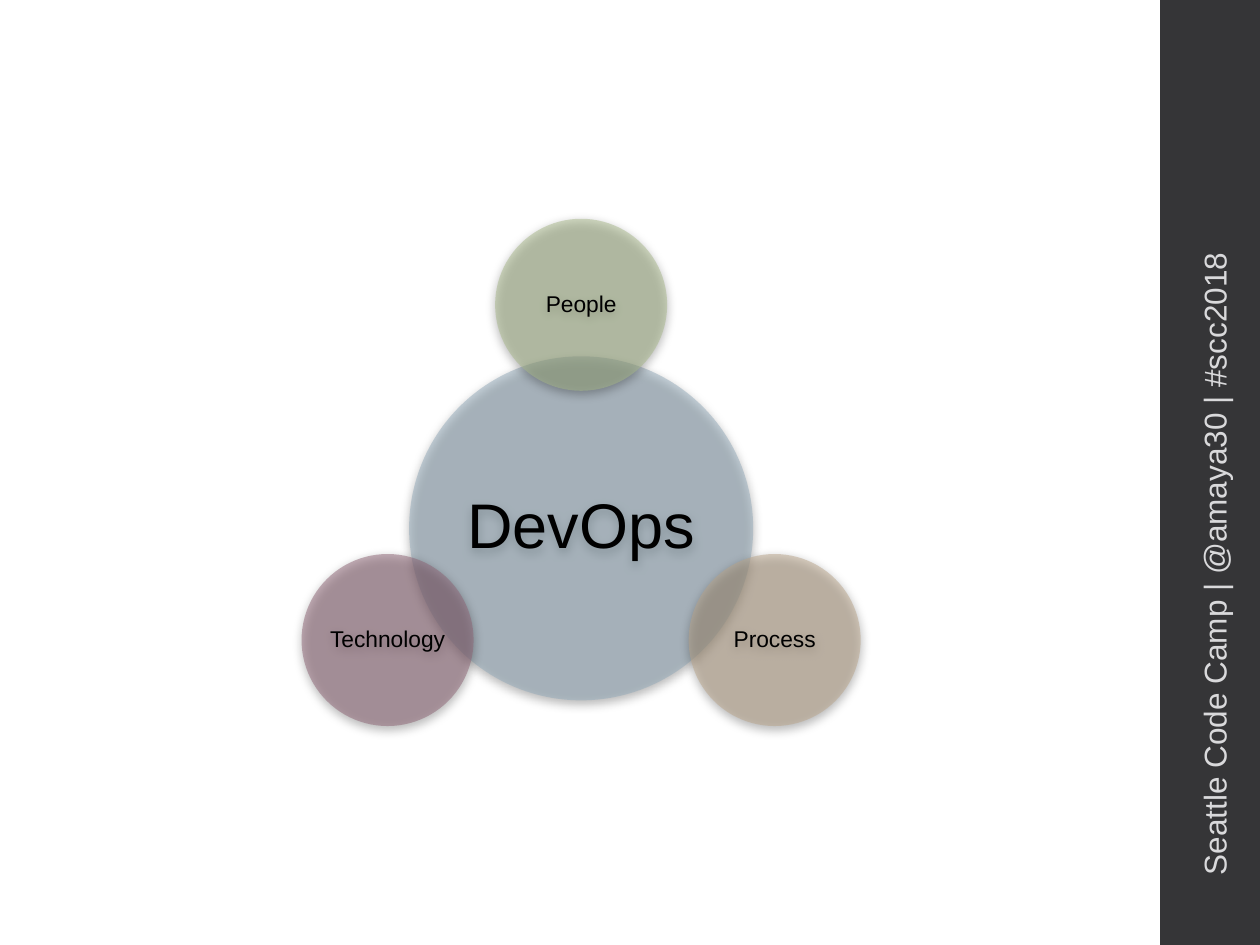
from math import cos, radians, sin

from lxml import etree
from pptx import Presentation
from pptx.dml.color import RGBColor
from pptx.enum.shapes import MSO_SHAPE
from pptx.enum.text import MSO_ANCHOR, PP_ALIGN
from pptx.oxml import parse_xml
from pptx.oxml.ns import nsdecls, qn
from pptx.util import Pt

RECT, OVAL = MSO_SHAPE.RECTANGLE, MSO_SHAPE.OVAL
MIDDLE = MSO_ANCHOR.MIDDLE
LEFT, CENTER = PP_ALIGN.LEFT, PP_ALIGN.CENTER

WHITE = RGBColor(0xFF, 0xFF, 0xFF)
BLACK = RGBColor(0x00, 0x00, 0x00)
CHARCOAL = RGBColor(0x35, 0x35, 0x37)
SILVER = RGBColor(0xD9, 0xD9, 0xDB)
BLUE = RGBColor(0x92, 0xA9, 0xB9)
GREEN = RGBColor(0xA7, 0xB7, 0x89)
TAN = RGBColor(0xB9, 0xA4, 0x89)
PLUM = RGBColor(0x8D, 0x63, 0x74)

FONT = "Arial"
HUB_X, HUB_Y = 332.1, 301.9
HUB_SIZE, SATELLITE_SIZE = 196.6, 98.3
ORBIT = 127.7
SATELLITES = [("People", GREEN), ("Process", TAN), ("Technology", PLUM)]


def add_text(s, text, size, color, align, inset):
    tf = s.text_frame
    tf.word_wrap = True
    tf.vertical_anchor = MIDDLE
    tf.margin_left = tf.margin_right = Pt(inset)
    tf.margin_top = tf.margin_bottom = Pt(inset / 2)
    p = tf.paragraphs[0]
    p.alignment = align
    r = p.add_run()
    r.text = text
    r.font.name = FONT
    r.font.size = Pt(size)
    r.font.color.rgb = color
    return p


def add_glass_effect(s):
    color = s.fill._xPr.find(qn("a:solidFill"))[0]
    etree.SubElement(color, qn("a:alpha"), val="50000")
    s._element.spPr.append(parse_xml(
        f'<a:effectLst {nsdecls("a")}>'
        f'<a:outerShdw blurRad="{Pt(6)}" dist="{Pt(2)}" dir="5400000" rotWithShape="0">'
        '<a:srgbClr val="000000"><a:alpha val="55000"/></a:srgbClr>'
        '</a:outerShdw></a:effectLst>'))


def add_circle(slide, text, x, y, diameter, color, size, inset):
    s = slide.shapes.add_shape(
        OVAL, Pt(x - diameter / 2), Pt(y - diameter / 2), Pt(diameter), Pt(diameter))
    s.fill.solid()
    s.fill.fore_color.rgb = color
    s.line.fill.background()
    add_glass_effect(s)
    p = add_text(s, text, size, BLACK, CENTER, inset)
    p.line_spacing = 0.9


def add_side_band(slide):
    s = slide.shapes.add_shape(RECT, Pt(663), Pt(0), Pt(57), Pt(540))
    s.shadow.inherit = False
    s.fill.solid()
    s.fill.fore_color.rgb = CHARCOAL
    s.line.fill.background()


def add_side_text(slide, text):
    s = slide.shapes.add_textbox(Pt(484.6), Pt(287.3), Pt(418.3), Pt(21.6))
    s.rotation = 270
    add_text(s, text, 18, SILVER, LEFT, 7.2)


def main():
    prs = Presentation()
    prs.slide_width, prs.slide_height = Pt(720), Pt(540)
    slide = prs.slides.add_slide(prs.slide_layouts[6])
    slide.background.fill.solid()
    slide.background.fill.fore_color.rgb = WHITE

    add_side_band(slide)
    add_circle(slide, "DevOps", HUB_X, HUB_Y, HUB_SIZE, BLUE, 36, 3.6)
    for i, (name, color) in enumerate(SATELLITES):
        angle = radians(360 / len(SATELLITES) * i - 90)
        x = HUB_X + ORBIT * cos(angle)
        y = HUB_Y + ORBIT * sin(angle)
        add_circle(slide, name, x, y, SATELLITE_SIZE, color, 13, 1.3)
    add_side_text(slide, "Seattle Code Camp | @amaya30 | #scc2018")

    prs.save("out.pptx")


if __name__ == "__main__":
    main()
